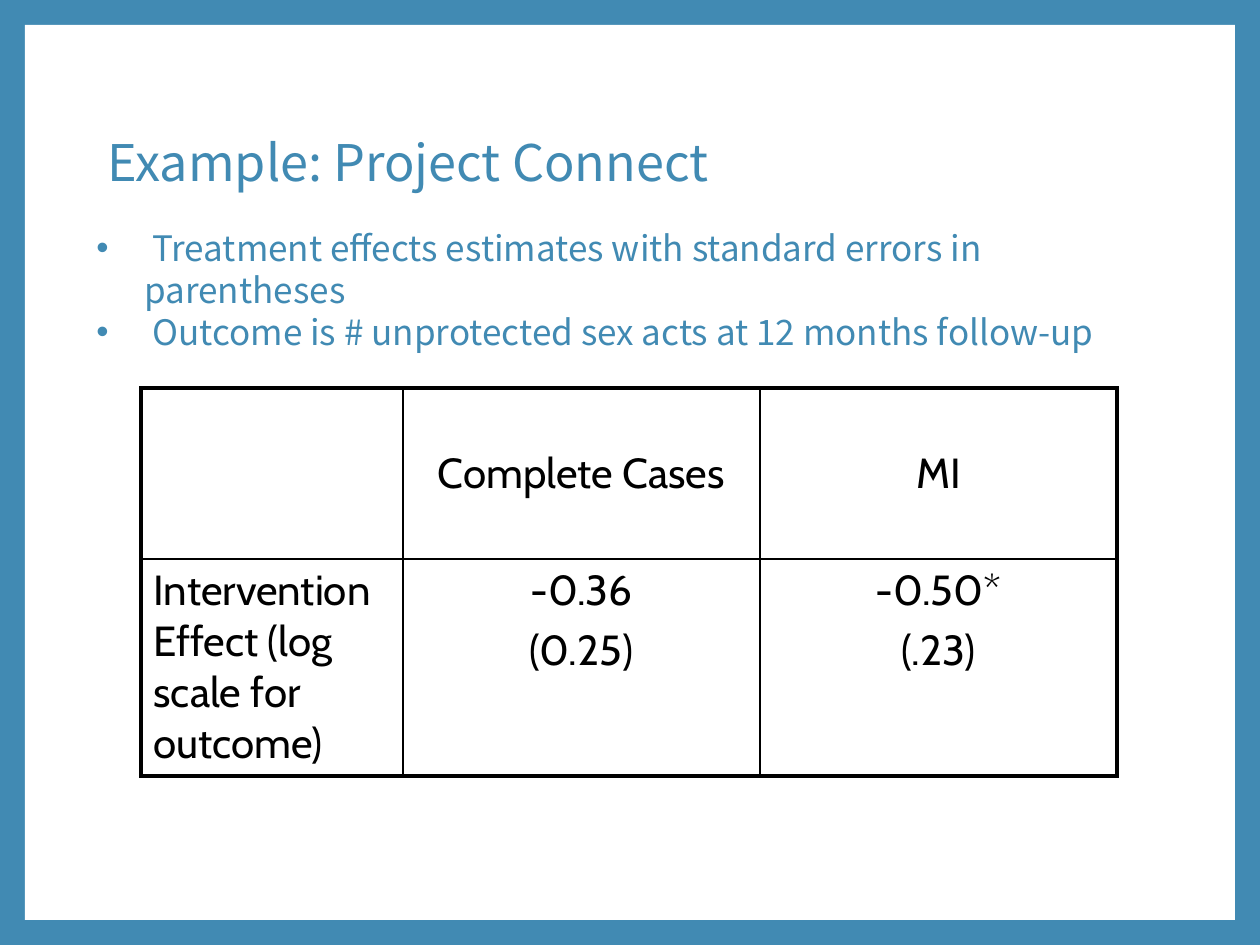
"""Build the Project Connect results slide."""
from lxml.etree import SubElement
from pptx import Presentation
from pptx.dml.color import RGBColor
from pptx.enum.shapes import MSO_SHAPE
from pptx.enum.text import MSO_ANCHOR as Anchor, PP_ALIGN as Align
from pptx.oxml.ns import qn
from pptx.util import Emu, Pt

SCALE = 914400 // 126
BLUE, WHITE, BLACK = "418AB3", "FFFFFF", "000000"
SANS, CABIN = "Noto Sans CJK SC", "Cabin"
PAGE = (1260, 945)
FRAME = 25
TITLE = "Example: Project Connect"
BULLETS = [
    "Treatment effects estimates with standard errors in parentheses",
    "Outcome is # unprotected sex acts at 12 months follow-up",
]
TITLE_BOX = (95, 126, 1071, 116)
BULLET_BOX = (84, 220, 1083, 97)
TABLE_AT = (141, 388)
COLUMNS = [262, 357, 357]
ROWS = [171, 217]
CELLS = [
    [[], ["Complete Cases"], ["MI"]],
    [["Intervention Effect (log scale for outcome)"],
     ["-0.36", "(0.25)"], ["-0.50*", "(.23)"]],
]
THICK, THIN = 2.25, 1


def px(length):
    return Emu(length * SCALE)


def color(value):
    return RGBColor.from_string(value)


def assign(target, **values):
    for name, value in values.items():
        setattr(target, name, value)


def write(para, text, font, size, ink):
    span = para.add_run()
    span.text = text
    assign(span.font, name=font, size=Pt(size))
    span.font.color.rgb = color(ink)
    props = span._r.get_or_add_rPr()
    for tag in ("a:ea", "a:cs"):
        SubElement(props, qn(tag), typeface=font)


def add_text_box(page, area, anchor):
    frame = page.shapes.add_textbox(*map(px, area)).text_frame
    assign(frame, word_wrap=True, vertical_anchor=anchor)
    return frame


def add_bullet(para):
    props = para._p.get_or_add_pPr()
    indent = px(48)
    props.set("marL", str(indent))
    props.set("indent", str(-indent))
    ink = SubElement(SubElement(props, qn("a:buClr")), qn("a:srgbClr"))
    ink.set("val", BLUE)
    SubElement(props, qn("a:buFont"), typeface="Arial")
    SubElement(props, qn("a:buChar"), char="•")


def add_borders(cell, widths):
    props = cell._tc.get_or_add_tcPr()
    for index, (side, width) in enumerate(widths.items()):
        line = props.makeelement(qn(f"a:ln{side}"), {"w": str(Pt(width))})
        ink = SubElement(SubElement(line, qn("a:solidFill")), qn("a:srgbClr"))
        ink.set("val", BLACK)
        props.insert(index, line)


def add_results(page):
    size = (sum(COLUMNS), sum(ROWS))
    table = page.shapes.add_table(
        len(ROWS), len(COLUMNS), *map(px, TABLE_AT + size)).table
    assign(table, first_row=False, horz_banding=False)
    for column, width in zip(table.columns, COLUMNS):
        column.width = px(width)
    for r, height in enumerate(ROWS):
        table.rows[r].height = px(height)
        for c, lines in enumerate(CELLS[r]):
            cell = table.cell(r, c)
            cell.fill.background()
            cell.vertical_anchor = Anchor.TOP if r else Anchor.MIDDLE
            for i, text in enumerate(lines):
                frame = cell.text_frame
                para = frame.add_paragraph() if i else frame.paragraphs[0]
                assign(para, space_before=Pt(4.8),
                       alignment=Align.CENTER if c else Align.LEFT)
                write(para, text, CABIN, 24, BLACK)
            edges = {"L": c == 0, "R": c == len(COLUMNS) - 1,
                     "T": r == 0, "B": r == len(ROWS) - 1}
            add_borders(cell, {side: THICK if outer else THIN
                               for side, outer in edges.items()})


deck = Presentation()
assign(deck, slide_width=px(PAGE[0]), slide_height=px(PAGE[1]))
page = deck.slides.add_slide(deck.slide_layouts[6])
page.background.fill.solid()
page.background.fill.fore_color.rgb = color(BLUE)

panel_area = (FRAME, FRAME, PAGE[0] - 2 * FRAME, PAGE[1] - 2 * FRAME)
panel = page.shapes.add_shape(MSO_SHAPE.RECTANGLE, *map(px, panel_area))
panel.shadow.inherit = False
panel.fill.solid()
panel.fill.fore_color.rgb = color(WHITE)
panel.line.fill.background()

heading = add_text_box(page, TITLE_BOX, Anchor.MIDDLE).paragraphs[0]
heading.line_spacing = 0.9
write(heading, TITLE, SANS, 28.8, BLUE)
heading.add_line_break()

add_results(page)

bullets = add_text_box(page, BULLET_BOX, Anchor.TOP)
for i, text in enumerate(BULLETS):
    para = bullets.add_paragraph() if i else bullets.paragraphs[0]
    para.line_spacing = Pt(24)
    add_bullet(para)
    write(para, " ", CABIN, 20, BLUE)
    write(para, text, SANS, 20, BLUE)

deck.save("out.pptx")
